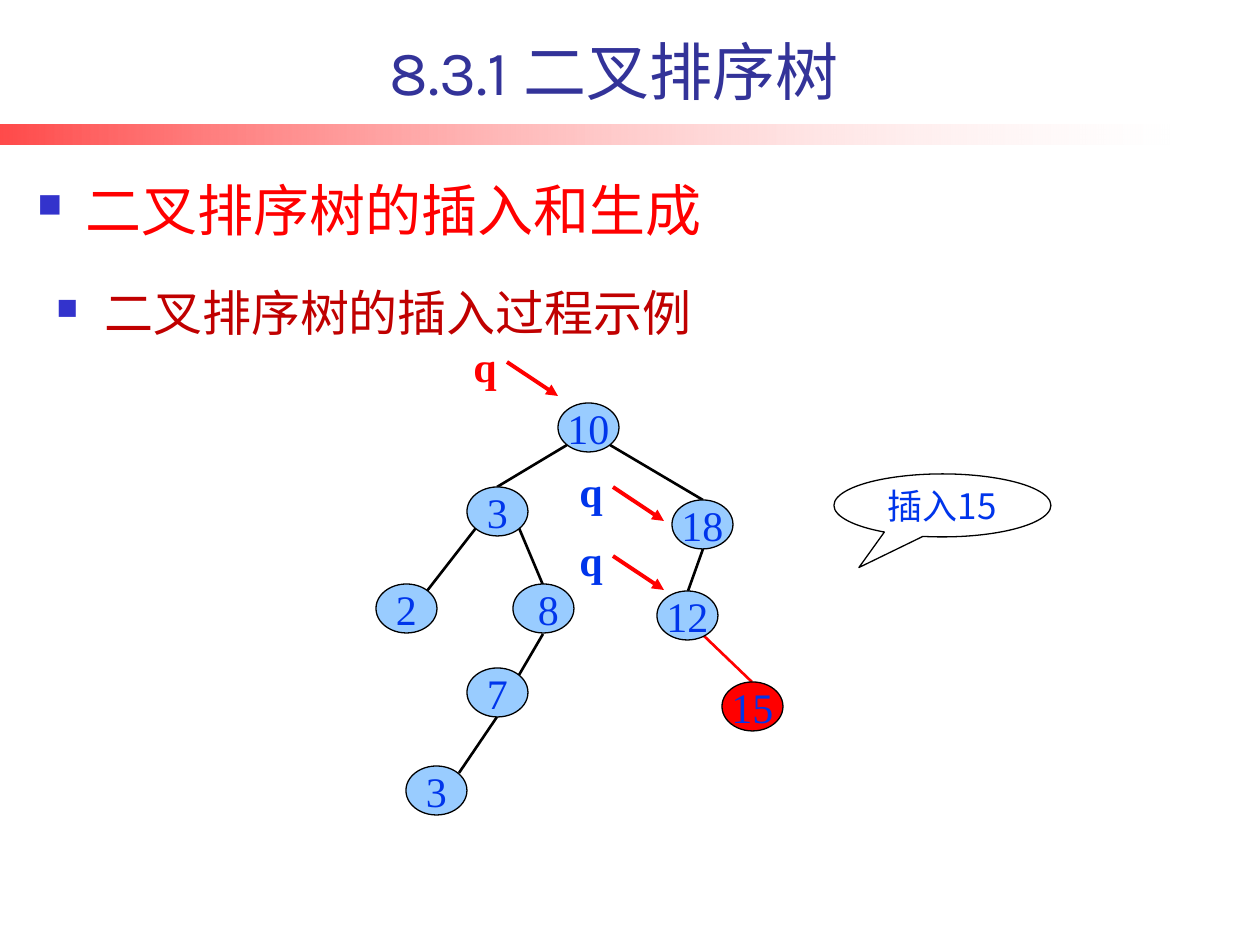
"""Build a slide showing how 15 is inserted into a binary search tree."""
import lxml.etree
import pptx
import pptx.dml.color
import pptx.enum.shapes
import pptx.enum.text
import pptx.oxml.ns
import pptx.util

PX = 914400 / 126
RGB = pptx.dml.color.RGBColor
SHAPE = pptx.enum.shapes.MSO_SHAPE
ALIGN = pptx.enum.text.PP_ALIGN
ANCHOR = pptx.enum.text.MSO_ANCHOR
qn = pptx.oxml.ns.qn
BLACK = RGB(0x00, 0x00, 0x00)
WHITE = RGB(0xFF, 0xFF, 0xFF)
RED = RGB(0xFF, 0x00, 0x00)
DARK_RED = RGB(0xC0, 0x00, 0x00)
BLUE = RGB(0x00, 0x35, 0xEB)
TITLE_BLUE = RGB(0x33, 0x33, 0x99)
NODE_BLUE = RGB(0x99, 0xCC, 0xFF)
SERIF, SANS = "Times New Roman", "Noto Sans CJK SC"
NODE_WIDTH, NODE_HEIGHT = 61, 49


def write(shape, text, size, font, color, align=ALIGN.LEFT, anchor=ANCHOR.TOP, bullet=False):
    frame = shape.text_frame
    frame.vertical_anchor = anchor
    paragraph = frame.paragraphs[0]
    paragraph.text = text
    paragraph.alignment = align
    if bullet:
        properties = paragraph._p.get_or_add_pPr()
        properties.set("marL", str(round(48 * PX)))
        properties.set("indent", str(round(-48 * PX)))
        bullet_color = lxml.etree.SubElement(properties, qn("a:buClr"))
        lxml.etree.SubElement(bullet_color, qn("a:srgbClr"), val="3333CC")
        lxml.etree.SubElement(properties, qn("a:buSzPct"), val="60000")
        lxml.etree.SubElement(properties, qn("a:buChar"), char="■")
    paragraph.font.size = pptx.util.Pt(size)
    paragraph.font.name = font
    paragraph.font.color.rgb = color
    for run in paragraph.runs:
        lxml.etree.SubElement(run._r.get_or_add_rPr(), qn("a:ea"), typeface=SANS)
    return paragraph


def connect(start_x, start_y, end_x, end_y, color, width):
    line = slide.shapes.add_connector(
        pptx.enum.shapes.MSO_CONNECTOR.STRAIGHT,
        *(round(value * PX) for value in (start_x, start_y, end_x, end_y)))
    line.line.color.rgb = color
    line.line.width = pptx.util.Pt(width)
    lxml.etree.SubElement(line._element.spPr, qn("a:effectLst"))
    return line


presentation = pptx.Presentation()
presentation.slide_width = round(1260 * PX)
presentation.slide_height = round(945 * PX)
slide = presentation.slides.add_slide(presentation.slide_layouts[6])

band = slide.shapes.add_shape(SHAPE.RECTANGLE, 0, round(125 * PX), round(1170 * PX), round(20 * PX))
band.shadow.inherit = False
band.line.fill.background()
band.fill.gradient()
band.fill.gradient_angle = 0
for stop, color, position, alpha in zip(band.fill.gradient_stops, (RED, WHITE), (0, 1), (71, 18)):
    stop.color.rgb = color
    stop.position = position
    lxml.etree.SubElement(stop._gs.find(qn("a:srgbClr")), qn("a:alpha"), val=str(alpha * 1000))

edges = [
    (567, 445, 497, 487, BLACK), (610, 445, 703, 500, BLACK),
    (476, 528, 427, 591, BLACK), (519, 528, 543, 585, BLACK),
    (543, 634, 519, 675, BLACK), (497, 717, 459, 773, BLACK),
    (703, 549, 688, 591, BLACK), (703, 635, 752, 682, RED),
]
for edge in edges:
    connect(*edge, 1.5)

nodes = [
    ("10", 558, 403, NODE_BLUE, 0), ("3", 467, 487, NODE_BLUE, 0), ("2", 376, 584, NODE_BLUE, 0),
    ("8", 513, 584, NODE_BLUE, 10), ("7", 467, 668, NODE_BLUE, 0), ("3", 406, 766, NODE_BLUE, 0),
    ("18", 672, 500, NODE_BLUE, 0), ("12", 657, 591, NODE_BLUE, 0), ("15", 722, 682, RED, 0),
]
for key, left, top, fill, inset in nodes:
    node = slide.shapes.add_shape(
        SHAPE.OVAL, *(round(value * PX) for value in (left, top, NODE_WIDTH, NODE_HEIGHT)))
    node.shadow.inherit = False
    node.fill.solid()
    node.fill.fore_color.rgb = fill
    node.line.color.rgb = BLACK
    node.line.width = pptx.util.Pt(0.75)
    frame = node.text_frame
    frame.word_wrap = False
    frame.margin_left = round(inset * PX)
    frame.margin_right = frame.margin_top = frame.margin_bottom = 0
    write(node, key, 24, SERIF, BLUE, ALIGN.CENTER, ANCHOR.MIDDLE)

for left, top, color in [(461, 334, RED), (567, 459, BLUE), (567, 528, BLUE)]:
    arrow = connect(left + 46, top + 28, left + 97, top + 62, RED, 2.25)
    lxml.etree.SubElement(arrow.line._get_or_add_ln(), qn("a:tailEnd"), type="triangle")
    pointer = slide.shapes.add_textbox(*(round(value * PX) for value in (left, top, 49, 63)))
    pointer.text_frame.word_wrap = False
    write(pointer, "q", 24, SERIF, color).font.bold = True

callout = slide.shapes.add_shape(
    SHAPE.OVAL_CALLOUT, *(round(value * PX) for value in (834, 474, 217, 63)))
callout.shadow.inherit = False
callout.adjustments[0] = -0.385
callout.adjustments[1] = 0.986
callout.fill.background()
callout.line.color.rgb = BLACK
callout.line.width = pptx.util.Pt(0.75)
callout.text_frame.word_wrap = False
write(callout, "插入15", 20, SANS, BLUE, ALIGN.CENTER, ANCHOR.MIDDLE)

headings = [
    ("8.3.1 二叉排序树", 77, 25, 1074, 89, 36, "Karla", TITLE_BLUE, ALIGN.CENTER, ANCHOR.BOTTOM, False, 1),
    ("二叉排序树的插入和生成", 25, 160, 1074, 89, 32, SANS, RED, ALIGN.LEFT, ANCHOR.BOTTOM, True, 1),
    ("二叉排序树的插入过程示例", 44, 268, 755, 74, 28, SERIF, DARK_RED, ALIGN.LEFT, ANCHOR.TOP, True, 1.15),
]
for text, left, top, width, height, size, font, color, align, anchor, bullet, spacing in headings:
    heading = slide.shapes.add_textbox(*(round(value * PX) for value in (left, top, width, height)))
    heading.text_frame.word_wrap = True
    paragraph = write(heading, text, size, font, color, align, anchor, bullet)
    paragraph.line_spacing = spacing

presentation.save("out.pptx")
